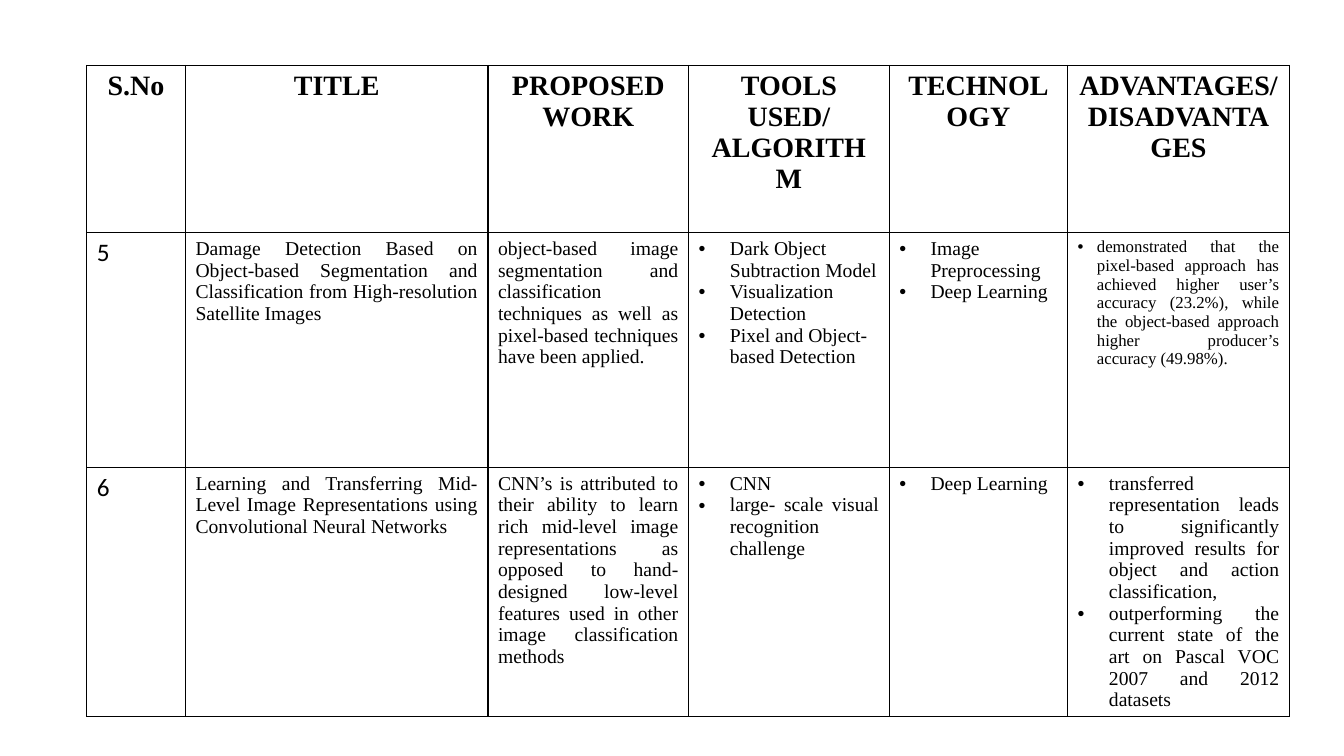
from lxml.etree import SubElement
from pptx import Presentation
from pptx.dml.color import RGBColor
from pptx.enum.text import PP_ALIGN as Align
from pptx.oxml.ns import qn
from pptx.util import Inches, Pt

SERIF = "Times New Roman"
BLACK, WHITE = "000000", "FFFFFF"
COLUMN_WIDTHS = [0.98, 3, 1.99, 1.99, 1.77, 2.2]
ROW_HEIGHTS = [1.66, 2.33, 2.33]

HEADINGS = [
    ["S.No"], ["TITLE"], ["PROPOSED WORK"], ["TOOLS USED/", "ALGORITHM"],
    ["TECHNOLOGY"], ["ADVANTAGES/ DISADVANTAGES"],
]
PAPERS = [
    [
        ["5"],
        ["Damage Detection Based on Object-based Segmentation and "
         "Classification from High-resolution Satellite Images "],
        ["object-based image segmentation and classification techniques "
         "as well as pixel-based techniques have been applied. "],
        ["Dark Object Subtraction Model ", "Visualization Detection",
         "Pixel and Object-based Detection "],
        ["Image Preprocessing", "Deep Learning"],
        ["demonstrated that the pixel-based approach has achieved higher "
         "user’s accuracy (23.2%), while the object-based approach higher "
         "producer’s accuracy (49.98%). "],
    ],
    [
        ["6"],
        ["Learning and Transferring Mid-Level Image Representations using "
         "Convolutional Neural Networks"],
        ["CNN’s is attributed to their ability to learn rich mid-level image "
         "representations as opposed to hand-designed low-level features used "
         "in other image classification methods"],
        ["CNN", "large- scale visual recognition challenge"],
        ["Deep Learning"],
        ["transferred representation leads to significantly improved results "
         "for object and action classification,",
         "outperforming the current state of the art on Pascal VOC 2007 and "
         "2012 datasets"],
    ],
]

HEADING = dict(size=20, bold=True, align=Align.CENTER)
NUMBER = dict(size=18, font="Calibri")
PROSE = dict(align=Align.JUSTIFY)
BULLETS = dict(indent=0.31)
JUSTIFIED_BULLETS = dict(indent=0.31, align=Align.JUSTIFY)
SMALL_BULLETS = dict(size=12, indent=0.19, align=Align.JUSTIFY)
PAPER_STYLES = [
    [NUMBER, PROSE, PROSE, BULLETS, BULLETS, SMALL_BULLETS],
    [NUMBER, PROSE, PROSE, JUSTIFIED_BULLETS, BULLETS, JUSTIFIED_BULLETS],
]


def color(hex_code):
    """Turn a hex string into a colour."""
    return RGBColor.from_string(hex_code)


def add_bullet(para, indent):
    """Give a paragraph a round bullet with a hanging indent in inches."""
    properties = para._p.get_or_add_pPr()
    properties.set("marL", str(Inches(indent)))
    properties.set("indent", str(-Inches(indent)))
    SubElement(properties, qn("a:buFont"), typeface="Arial")
    SubElement(properties, qn("a:buChar"), char="•")


def style_cell(cell):
    """Draw thin black borders around a white cell."""
    properties = cell._tc.get_or_add_tcPr()
    for side in ("lnL", "lnR", "lnT", "lnB"):
        line = SubElement(properties, qn(f"a:{side}"), w=str(Pt(1)))
        fill = SubElement(line, qn("a:solidFill"))
        SubElement(fill, qn("a:srgbClr"), val=BLACK)
    cell.fill.solid()
    cell.fill.fore_color.rgb = color(WHITE)


def fill_cell(cell, lines, size=14, font=SERIF, bold=False,
              align=Align.LEFT, indent=None):
    """Write one paragraph per line and format it."""
    style_cell(cell)
    cell.text_frame.text = "\n".join(lines)
    for para in cell.text_frame.paragraphs:
        para.alignment = align
        if indent:
            add_bullet(para, indent)
        for span in para.runs:
            span.font.size = Pt(size)
            span.font.name = font
            span.font.bold = bold
            span.font.color.rgb = color(BLACK)


def add_survey_table(page, left, top):
    """Place the literature survey table with its corner at left, top."""
    frame = page.shapes.add_table(
        len(ROW_HEIGHTS), len(COLUMN_WIDTHS), Inches(left), Inches(top),
        Inches(sum(COLUMN_WIDTHS)), Inches(sum(ROW_HEIGHTS)))
    table = frame.table
    for column, width in zip(table.columns, COLUMN_WIDTHS):
        column.width = Inches(width)
    contents = [HEADINGS] + PAPERS
    styles = [[HEADING] * len(HEADINGS)] + PAPER_STYLES
    for row, height, texts, looks in zip(table.rows, ROW_HEIGHTS, contents, styles):
        row.height = Inches(height)
        for cell, lines, look in zip(row.cells, texts, looks):
            fill_cell(cell, lines, **look)


deck = Presentation()
deck.slide_width, deck.slide_height = Inches(13.33), Inches(7.5)
survey_page = deck.slides.add_slide(deck.slide_layouts[6])
add_survey_table(survey_page, 0.86, 0.65)
deck.save("out.pptx")
